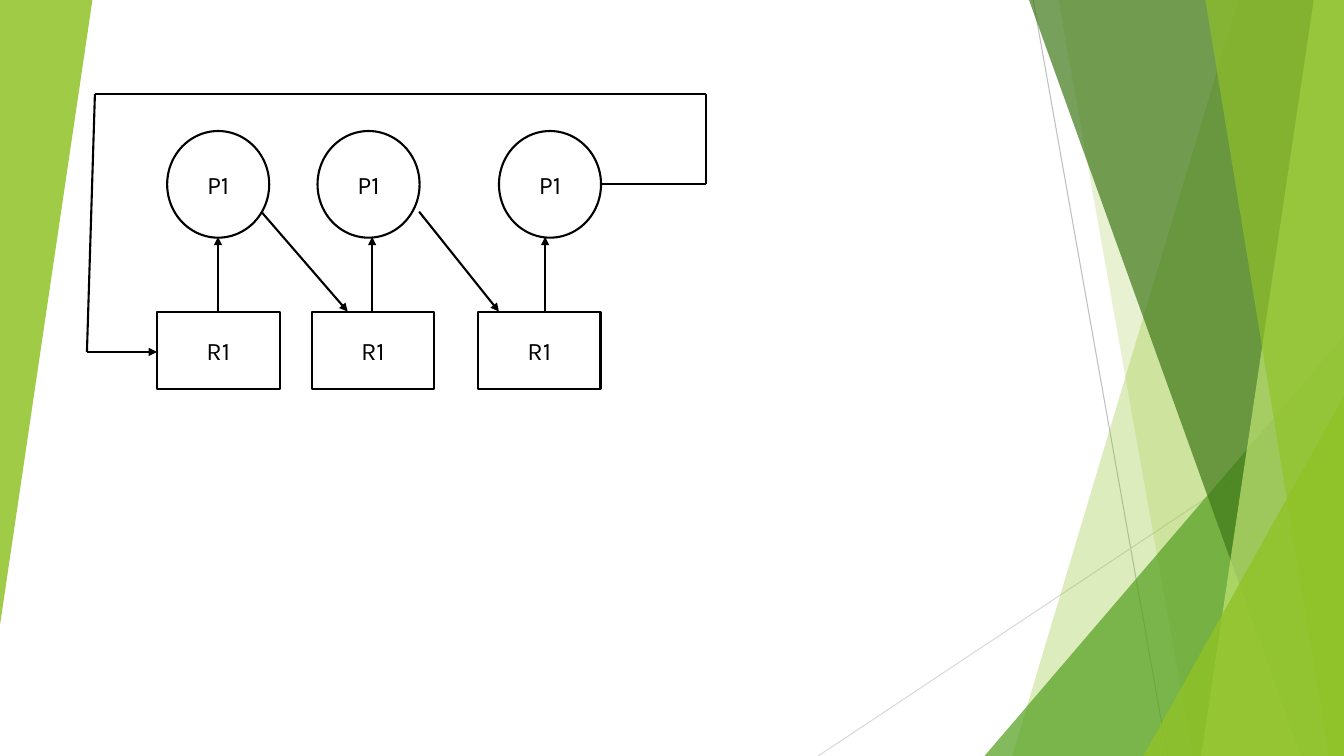
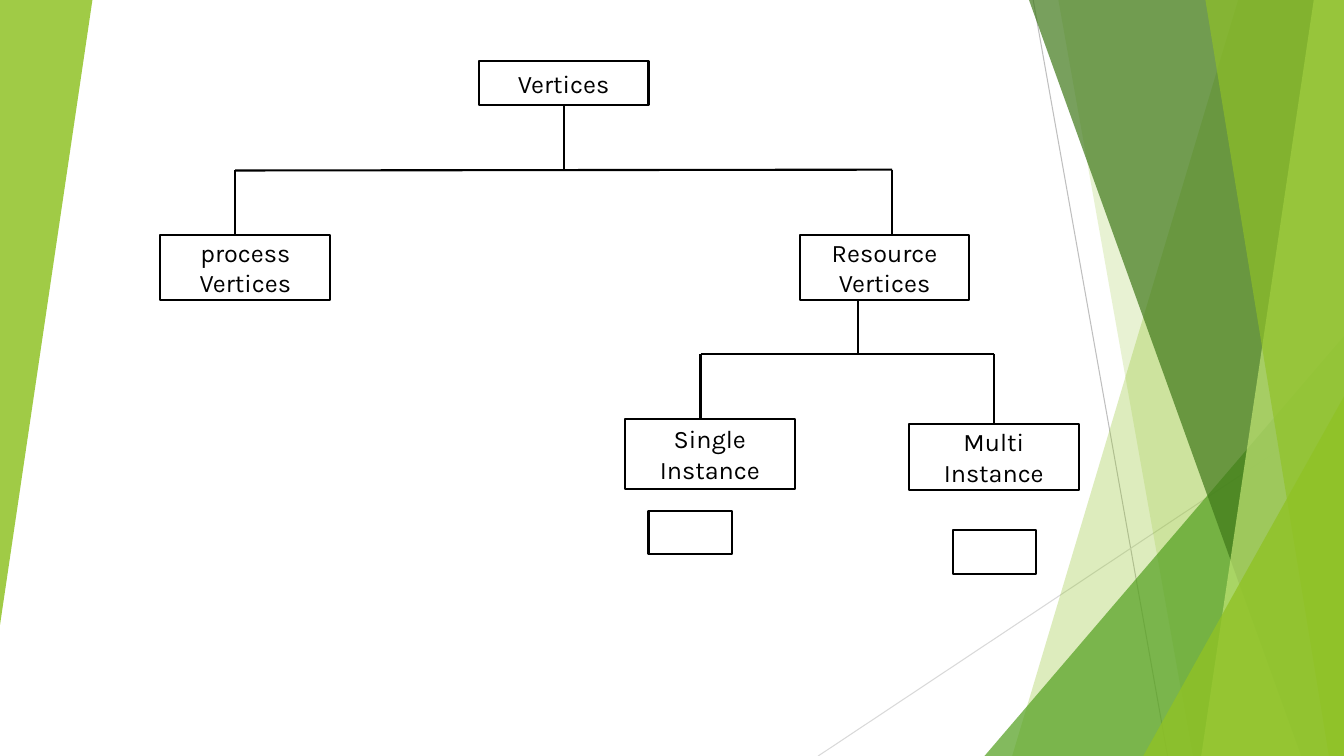
from itertools import pairwise

from lxml.etree import SubElement
from pptx import Presentation
from pptx.dml.color import RGBColor
from pptx.enum.shapes import MSO_CONNECTOR as Connector, MSO_SHAPE as Preset
from pptx.enum.text import MSO_ANCHOR as Anchor, PP_ALIGN as Align
from pptx.oxml.ns import qn
from pptx.util import Inches, Pt

BLACK = RGBColor(0x00, 0x00, 0x00)
WHITE = RGBColor(0xFF, 0xFF, 0xFF)
LIME = RGBColor(0x90, 0xC2, 0x26)
PALE_LIME = RGBColor(0xC0, 0xE4, 0x74)
LEAF = RGBColor(0x54, 0xA0, 0x21)
FOREST = RGBColor(0x3F, 0x78, 0x19)
GREY = RGBColor(0xBF, 0xBF, 0xBF)
LIGHT_GREY = RGBColor(0xD9, 0xD9, 0xD9)

COLUMNS, ROWS = 160, 90


class Deck:
    font_name = "Karla"
    font_size = Pt(18)
    outline = 1.5

    def __init__(self):
        self.deck = Presentation()
        self.deck.slide_width = Inches(13.33)
        self.deck.slide_height = Inches(7.5)
        self.layout = self.deck.slide_layouts[6]
        for placeholder in list(self.layout.placeholders):
            self.layout.shapes.element.remove(placeholder.element)
        self.slide = None

    def new_slide(self):
        self.slide = self.deck.slides.add_slide(self.layout)

    def x(self, column):
        return round(self.deck.slide_width * column / COLUMNS)

    def y(self, row):
        return round(self.deck.slide_height * row / ROWS)

    def point(self, column, row):
        return self.x(column), self.y(row)

    def preset(self, kind, left, top, width, height):
        return self.slide.shapes.add_shape(
            kind, *self.point(left, top), *self.point(width, height))

    def node(self, kind, left, top, width, height, label=""):
        node = self.preset(kind, left, top, width, height)
        node.shadow.inherit = False
        node.fill.solid()
        node.fill.fore_color.rgb = WHITE
        node.line.color.rgb = BLACK
        node.line.width = Pt(self.outline)
        if label:
            frame = node.text_frame
            frame.word_wrap = True
            frame.vertical_anchor = Anchor.MIDDLE
            paragraph = frame.paragraphs[0]
            paragraph.text = label
            paragraph.alignment = Align.CENTER
            paragraph.font.name = self.font_name
            paragraph.font.size = self.font_size
            paragraph.font.color.rgb = BLACK

    def line(self, start, end, arrow=False, color=BLACK, width=outline):
        line = self.slide.shapes.add_connector(
            Connector.STRAIGHT, *self.point(*start), *self.point(*end))
        line.line.color.rgb = color
        line.line.width = Pt(width)
        properties = line.element.spPr
        if arrow:
            SubElement(properties.find(qn("a:ln")), qn("a:tailEnd"), type="triangle")
        SubElement(properties, qn("a:effectLst"))
        return line

    def route(self, *points, arrow=False):
        legs = list(pairwise(points))
        for number, (start, end) in enumerate(legs, 1):
            self.line(start, end, arrow and number == len(legs))

    def tint(self, facet, color, opacity):
        facet.shadow.inherit = False
        facet.line.fill.background()
        facet.fill.solid()
        facet.fill.fore_color.rgb = color
        srgb = facet.element.spPr.find(".//" + qn("a:srgbClr"))
        SubElement(srgb, qn("a:alpha"), val=str(opacity * 1000))
        return facet

    def band(self, top_column, bottom_column, color, opacity):
        builder = self.slide.shapes.build_freeform(*self.point(top_column, 0))
        builder.add_line_segments([
            self.point(COLUMNS, 0), self.point(COLUMNS, ROWS),
            self.point(bottom_column, ROWS)])
        return self.tint(builder.convert_to_shape(), color, opacity)

    def wedge(self, left, top, width, height, color, opacity, rotation=0):
        wedge = self.preset(Preset.ISOSCELES_TRIANGLE, left, top, width, height)
        wedge.adjustments[0] = 1
        wedge.rotation = rotation
        return self.tint(wedge, color, opacity)

    def decorate_layout(self):
        facets = [
            self.line((123, 0), (139, ROWS), color=GREY, width=0.75),
            self.line((COLUMNS, 48.4), (97.4, ROWS), color=LIGHT_GREY, width=0.75),
            self.band(147.4, 120.5, LIME, 30),
            self.band(126, 142, LIME, 20),
            self.wedge(117.2, 40, 42.8, 50, LEAF, 72),
            self.band(122.5, 154.9, FOREST, 70),
            self.band(156.4, 143, PALE_LIME, 70),
            self.band(143.5, 158.2, LIME, 65),
            self.wedge(136.1, 47.2, 23.9, 42.8, LIME, 80),
            self.wedge(0, 0, 11, 74.4, LIME, 85, rotation=180),
        ]
        for facet in facets:
            self.layout.shapes.element.append(facet.element)


def draw_resource_cycle(deck):
    process_top, process_bottom = 15.6, 28.2
    resource_top = 37.1
    for process_left, resource_left, grant in (
            (19.9, 18.7, 25.95), (37.8, 37.1, 44.3), (59.4, 56.9, 64.9)):
        deck.node(Preset.OVAL, process_left, process_top, 12.15, 12.7, "P1")
        deck.node(Preset.RECTANGLE, resource_left, resource_top, 14.6, 9.2, "R1")
        deck.line((grant, resource_top), (grant, process_bottom), arrow=True)
    for request_start, request_end in ((31.1, 41.4), (49.9, 59.4)):
        deck.line((request_start, 25.2), (request_end, resource_top), arrow=True)
    deck.route((71.5, 21.9), (84.1, 21.9), (84.1, 11.2), (11.3, 11.2),
               (10.35, 41.9), (18.7, 41.9), arrow=True)


def draw_vertices_tree(deck):
    for left, top, height, label in (
            (57, 7.3, 5.2, "Vertices"),
            (19.1, 28, 7.7, "process Vertices"),
            (95.2, 28, 7.7, "Resource Vertices"),
            (74.4, 49.9, 8.3, "Single Instance"),
            (108.2, 50.5, 7.8, "Multi Instance")):
        deck.node(Preset.RECTANGLE, left, top, 20.2, height, label)
    for left, top in ((77.2, 60.8), (113.4, 63.1)):
        deck.node(Preset.RECTANGLE, left, top, 9.9, 5.2)

    deck.line((67.1, 12.5), (67.1, 20.3))
    deck.route((28, 28), (28, 20.3), (106.2, 20.2), (106.2, 28))
    deck.line((102.1, 35.7), (102.1, 42.1))
    deck.route((83.4, 49.9), (83.4, 42.1), (118.3, 42.1), (118.3, 50.5))


def main():
    deck = Deck()
    deck.new_slide()
    deck.decorate_layout()
    draw_resource_cycle(deck)
    deck.new_slide()
    draw_vertices_tree(deck)
    deck.deck.save("out.pptx")


if __name__ == "__main__":
    main()
